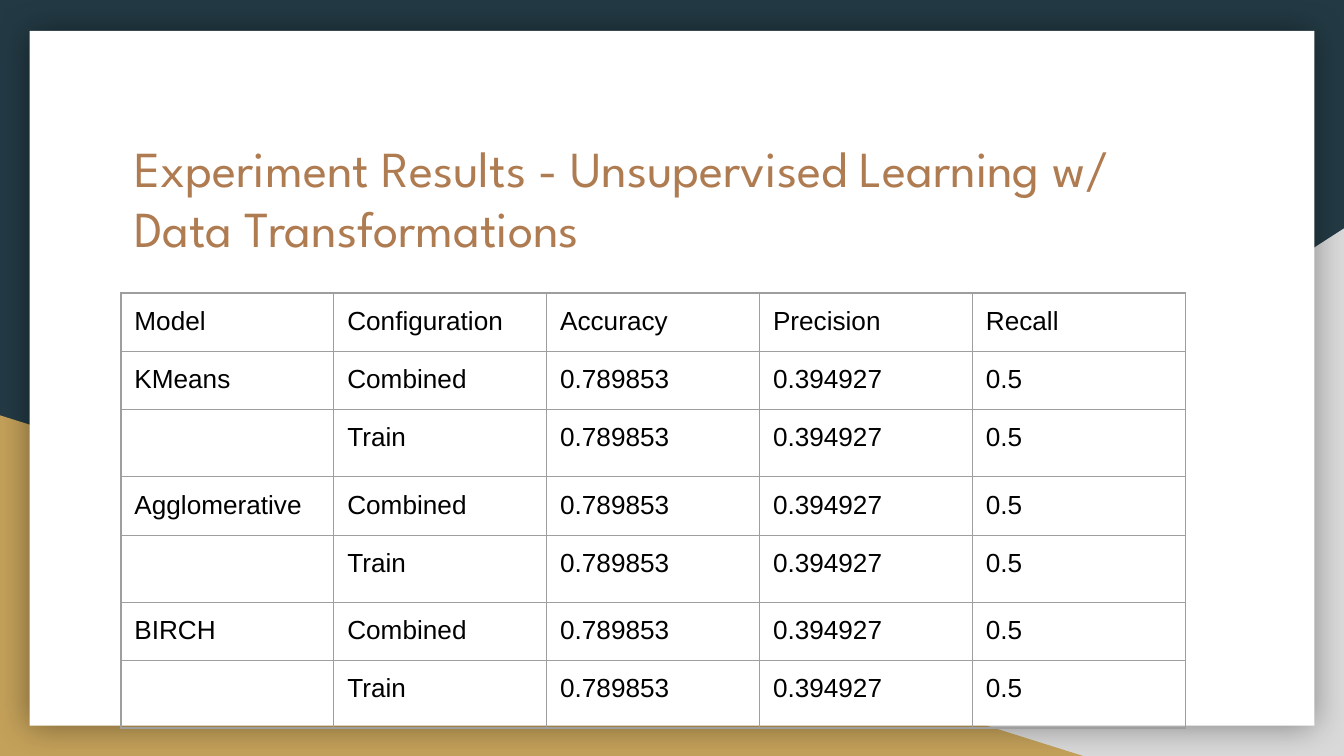
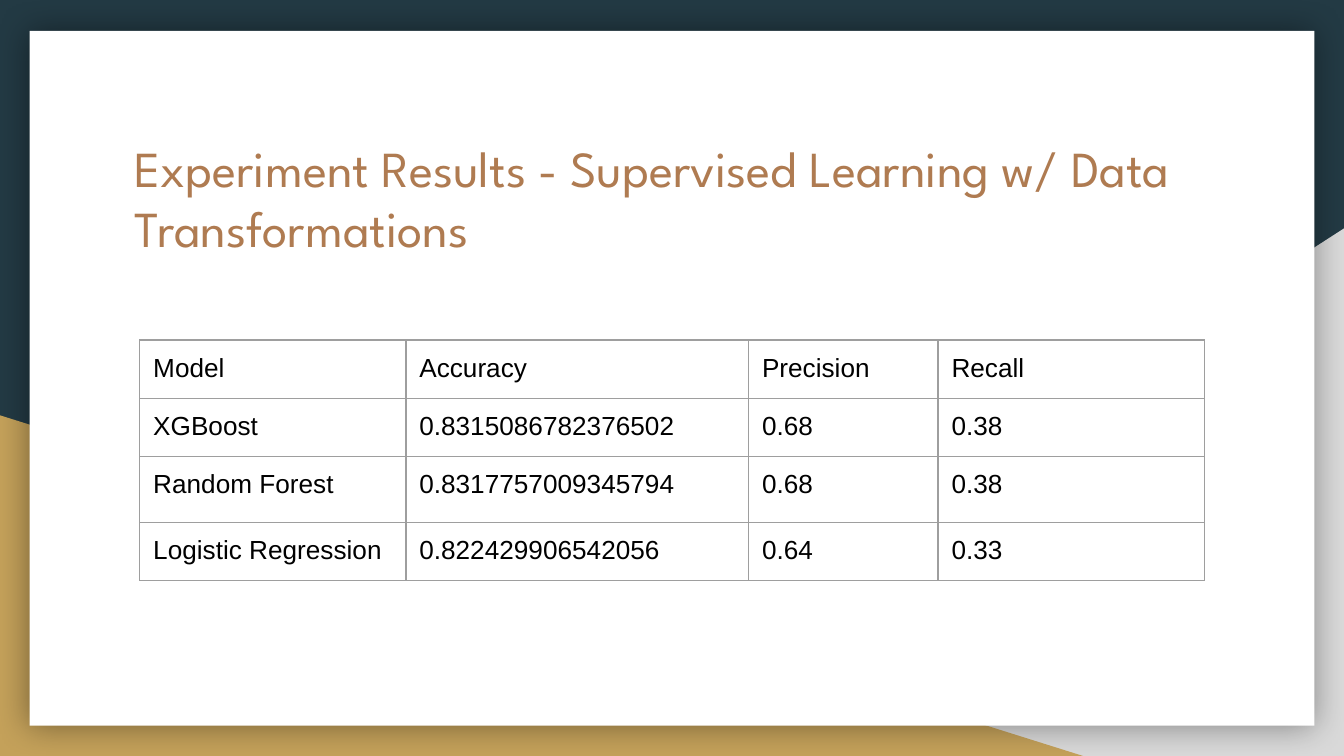
import lxml.etree
import pptx
import pptx.dml.color
import pptx.enum.shapes
import pptx.enum.text
import pptx.oxml.ns
import pptx.util

INCH = pptx.util.Inches
SHAPE = pptx.enum.shapes.MSO_SHAPE
NAVY, GREY, GOLD, WHITE = "233A44", "D9D9D9", "C4A15A", "FFFFFF"
COPPER, BLACK, RULE = "AF7B51", "000000", "9E9E9E"
WIDTH = 10
HEIGHT = WIDTH * 9 / 16
INSET = INCH(0.1)
ROW = 5 / 12
PLAIN_STYLE = "{2D5ABB26-0587-4C30-8999-92F81FD0307C}"
MARGINS = {"margin_" + side: INSET for side in ("left", "right", "top", "bottom")}
TITLE_FONT = {"name": "League Spartan", "size": pptx.util.Pt(27)}
CELL_FONT = {"name": "Arial", "size": pptx.util.Pt(14)}

# kind, left, top, width, height, colour, mirrored
BACKDROP = [
    (SHAPE.RIGHT_TRIANGLE, 3.92, 1.7, 6.08, HEIGHT - 1.7, GREY, True),
    (SHAPE.RIGHT_TRIANGLE, 0, 3.09, 8.06, HEIGHT - 3.09, GOLD, False),
    (SHAPE.RECTANGLE, 0.22, 0.23, 9.56, 5.17, WHITE, False),
]

clusters = [["Model", "Configuration", "Accuracy", "Precision", "Recall"]]
for model in ("KMeans", "Agglomerative", "BIRCH"):
    for label, configuration in ((model, "Combined"), ("", "Train")):
        clusters.append([label, configuration, "0.789853", "0.394927", "0.5"])

classifiers = [
    ["Model", "Accuracy", "Precision", "Recall"],
    ["XGBoost", "0.8315086782376502", "0.68", "0.38"],
    ["Random Forest", "0.8317757009345794", "0.68", "0.38"],
    ["Logistic Regression", "0.822429906542056", "0.64", "0.33"],
]

# title, table left, table top, column widths, row heights, rows
RESULTS = [
    ("Experiment Results - Unsupervised Learning w/ Data Transformations",
     0.9, 2.18, [7.92 / 5] * 5, [ROW] * 7, clusters),
    ("Experiment Results - Supervised Learning w/ Data Transformations",
     1.04, 2.53, [1.98, 2.55, 1.41, 1.98], [ROW, ROW, 0.49, ROW], classifiers),
]


def rgb(value):
    return pptx.dml.color.RGBColor.from_string(value)


def add_xml(parent, tag, **attributes):
    """Append a DrawingML child element and return it."""
    return lxml.etree.SubElement(parent, pptx.oxml.ns.qn("a:" + tag), attributes)


deck = pptx.Presentation()
deck.slide_width, deck.slide_height = INCH(WIDTH), INCH(HEIGHT)

for heading, left, top, widths, heights, rows in RESULTS:
    slide = deck.slides.add_slide(deck.slide_layouts[6])
    slide.background.fill.solid()
    slide.background.fill.fore_color.rgb = rgb(NAVY)

    for kind, *box, colour, mirrored in BACKDROP:
        panel = slide.shapes.add_shape(kind, *map(INCH, box))
        panel.shadow.inherit = False
        panel.fill.solid()
        panel.fill.fore_color.rgb = rgb(colour)
        panel.line.fill.background()
        if mirrored:
            panel.element.spPr.xfrm.set("flipH", "1")

    # The white card is the last panel and the only one with a soft shadow.
    effects = panel.element.spPr.find(pptx.oxml.ns.qn("a:effectLst"))
    shadow = add_xml(effects, "outerShdw", blurRad=str(pptx.util.Pt(18)),
                     dist="0", dir="0", algn="ctr", rotWithShape="0")
    add_xml(add_xml(shadow, "srgbClr", val=BLACK), "alpha", val="40000")

    title = slide.shapes.add_textbox(*map(INCH, (0.9, 0.92, 8.21, 1.04))).text_frame
    title.word_wrap = True
    title.vertical_anchor = pptx.enum.text.MSO_ANCHOR.TOP
    for name, value in MARGINS.items():
        setattr(title, name, value)
    run = title.paragraphs[0].add_run()
    run.text = heading
    for name, value in TITLE_FONT.items():
        setattr(run.font, name, value)
    run.font.color.rgb = rgb(COPPER)

    table = slide.shapes.add_table(
        len(rows), len(widths), INCH(left), INCH(top),
        INCH(sum(widths)), INCH(sum(heights))).table
    table.first_row = table.horz_banding = False
    table._tbl.tblPr.find(pptx.oxml.ns.qn("a:tableStyleId")).text = PLAIN_STYLE
    for column, width in zip(table.columns, widths):
        column.width = INCH(width)
    for row, height, values in zip(table.rows, heights, rows):
        row.height = INCH(height)
        for cell, value in zip(row.cells, values):
            for name, margin in MARGINS.items():
                setattr(cell, name, margin)
            properties = cell._tc.get_or_add_tcPr()
            for edge in ("lnL", "lnR", "lnT", "lnB"):
                border = add_xml(properties, edge, w=str(pptx.util.Pt(0.75)))
                add_xml(add_xml(border, "solidFill"), "srgbClr", val=RULE)
            cell.fill.background()
            paragraph = cell.text_frame.paragraphs[0]
            if value:
                run = paragraph.add_run()
                run.text = value
                for name, setting in CELL_FONT.items():
                    setattr(run.font, name, setting)
                run.font.color.rgb = rgb(BLACK)
            else:
                # Empty cells keep 18 pt, which makes their rows taller.
                blank = add_xml(paragraph._p, "endParaRPr", sz="1800")
                add_xml(blank, "latin", typeface=CELL_FONT["name"])

deck.save("out.pptx")
